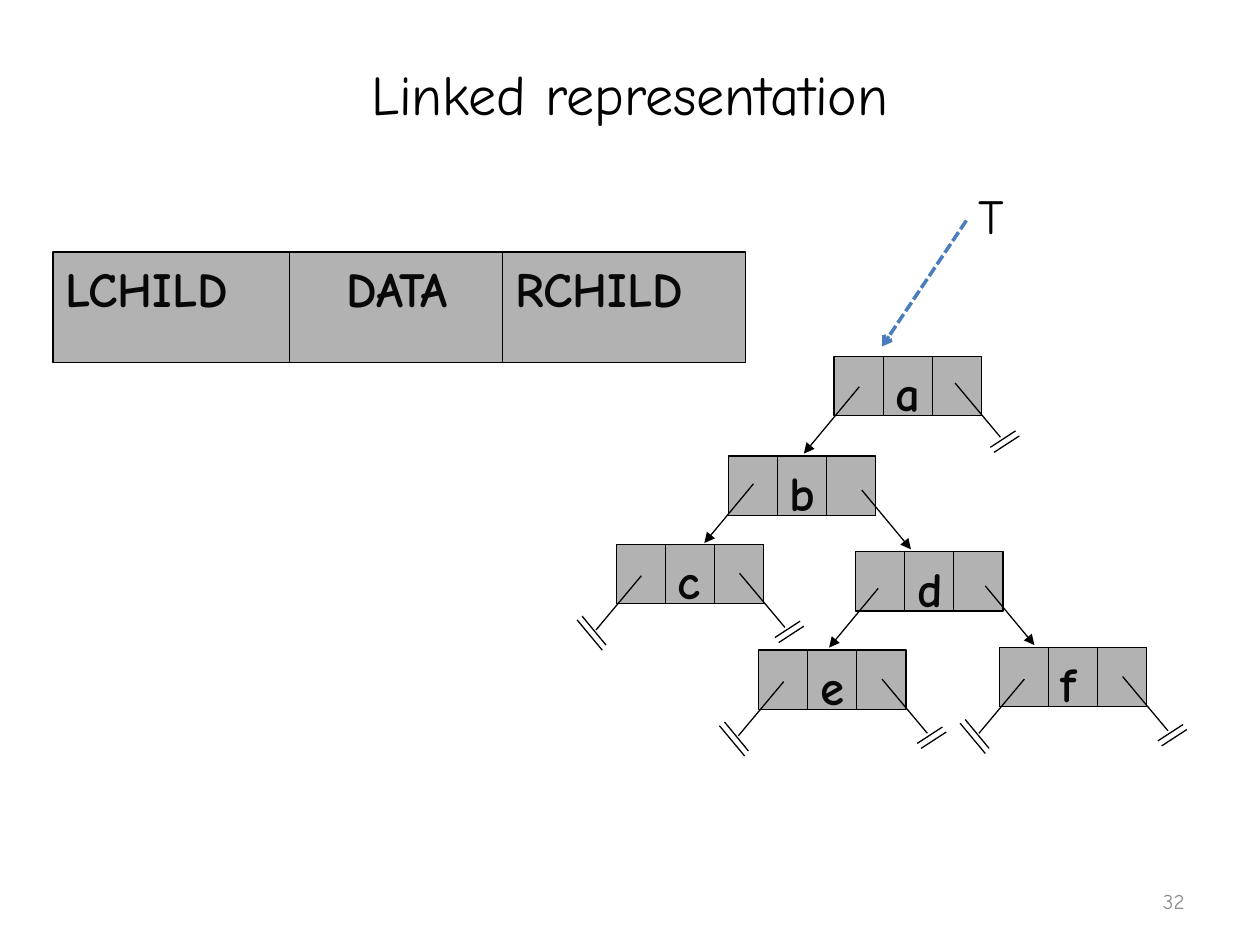
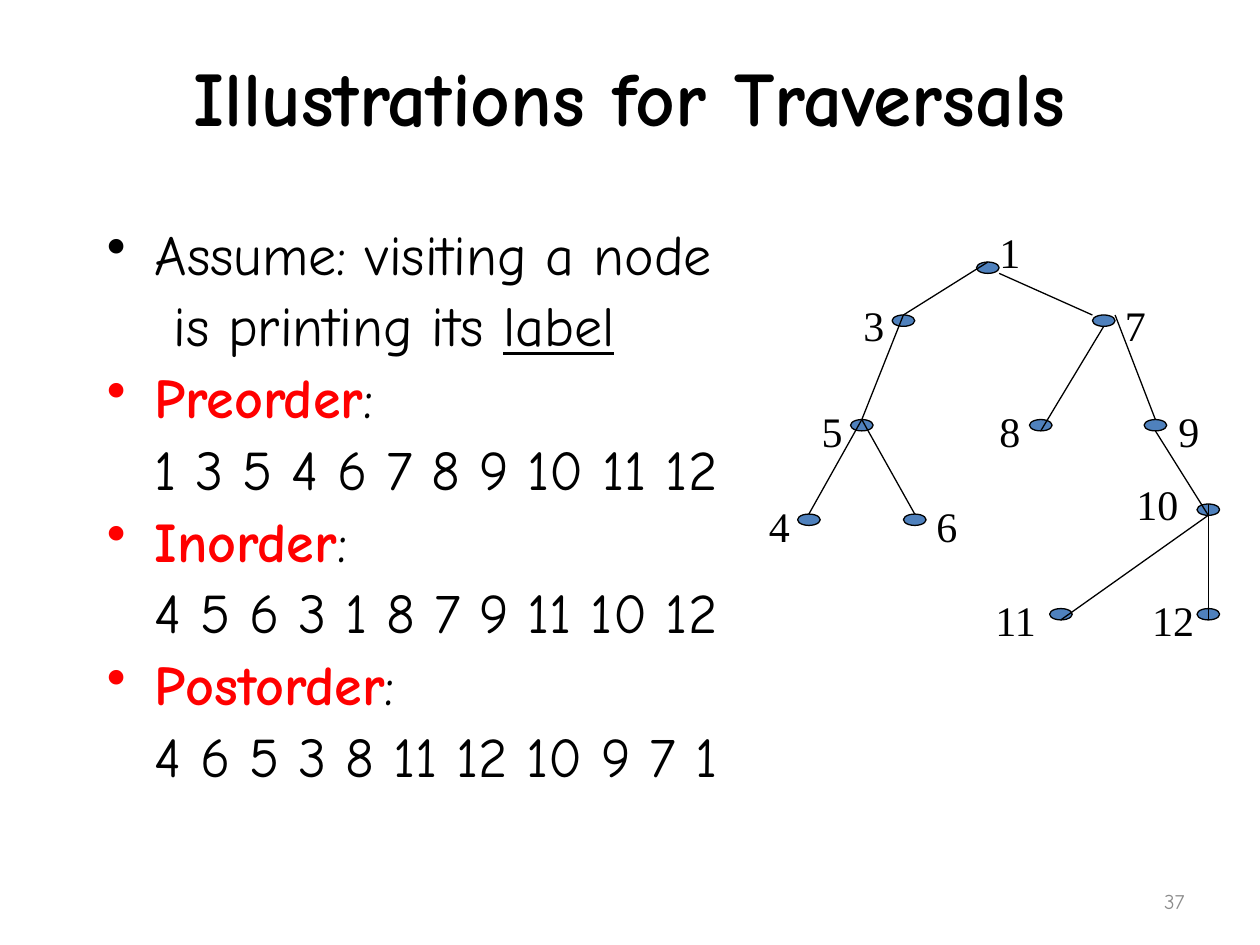
from dataclasses import dataclass

from lxml import etree
from pptx import Presentation
from pptx.dml.color import RGBColor
from pptx.enum.dml import MSO_LINE
from pptx.enum.shapes import MSO_CONNECTOR, MSO_SHAPE
from pptx.enum.text import MSO_ANCHOR, PP_ALIGN
from pptx.oxml.ns import qn
from pptx.util import Pt

PX = 9144  # one px is a hundredth of an inch
RECTANGLE, OVAL = MSO_SHAPE.RECTANGLE, MSO_SHAPE.OVAL
STRAIGHT = MSO_CONNECTOR.STRAIGHT
LEFT, CENTER, RIGHT = PP_ALIGN.LEFT, PP_ALIGN.CENTER, PP_ALIGN.RIGHT
TOP, MIDDLE = MSO_ANCHOR.TOP, MSO_ANCHOR.MIDDLE
DASHED = MSO_LINE.SQUARE_DOT


@dataclass(frozen=True)
class Theme:
    ink: RGBColor = RGBColor(0, 0, 0)
    cell_ink: RGBColor = RGBColor(0x08, 0x08, 0x08)
    cell: RGBColor = RGBColor(0xB2, 0xB2, 0xB2)
    dot: RGBColor = RGBColor(0x4F, 0x81, 0xBD)
    pointer: RGBColor = RGBColor(0x4B, 0x7E, 0xBC)
    accent: RGBColor = RGBColor(0xFF, 0, 0)
    muted: RGBColor = RGBColor(0x8C, 0x8C, 0x8C)
    font: str = "Comic Neue"
    label_font: str = "Times New Roman"
    title: int = 44
    body: int = 32
    record: int = 28
    label: int = 24
    number: int = 12
    thin: float = 0.75
    thick: float = 2
    space: float = 6.4


THEME = Theme()

# Record cells: three per node
CELL_WIDTH, CELL_HEIGHT = 39, 47
POINTER_LEFT, POINTER_RIGHT = (-39, 47), (39, 47)
# Null links: a stem and two strokes, measured from the start of the link
NULL_LEFT = [((0, 0), (-36, 43)), ((-47, 32), (-28, 55)), ((-51, 35), (-31, 59))]
NULL_RIGHT = [((0, 0), (36, 43)), ((28, 51), (48, 38)), ((31, 55), (51, 42))]

# letter, place, start and step of the left link, start and step of the right (None is null)
RECORD_NODES = [
    ("a", (204, 0), (20, 24), (-44, 53), (96, 21), None),
    ("b", (120, 79), (20, 22), POINTER_LEFT, (106, 27), POINTER_RIGHT),
    ("c", (31, 149), (20, 25), None, (98, 23), None),
    ("d", (221, 155), (18, 29), POINTER_LEFT, (103, 27), POINTER_RIGHT),
    ("e", (144, 233), (20, 25), None, (98, 23), None),
    ("f", (335, 231), (20, 25), None, (98, 23), None),
]

# Traversal tree: place of each dot, then offset and width of its label
DOT_WIDTH, DOT_HEIGHT, LABEL_HEIGHT = 18, 9, 50
TREE_NODES = {
    "1": ((175, 33), (8, -33), 37),
    "3": ((108, 75), (-33, -17), 37),
    "7": ((267, 75), (16, -17), 33),
    "5": ((75, 158), (-33, -16), 37),
    "8": ((217, 158), (-34, -16), 37),
    "9": ((308, 158), (17, -16), 37),
    "4": ((33, 233), (-33, -16), 37),
    "6": ((117, 233), (16, -16), 37),
    "10": ((350, 225), (-58, -25), 53),
    "11": ((233, 308), (-58, -16), 62),
    "12": ((350, 308), (-50, -16), 62),
}
# Points on a dot, as shares of its width and height
NORTH, SOUTH = (0.5, 0), (0.5, 1)
NORTH_WEST, NORTH_EAST, SOUTH_EAST = (0, 0), (1, 0), (1, 1)
TREE_EDGES = [
    ("1", NORTH, "3", NORTH), ("1", SOUTH_EAST, "7", NORTH_WEST),
    ("3", NORTH, "5", NORTH), ("7", SOUTH, "8", SOUTH),
    ("7", NORTH_EAST, "9", NORTH), ("5", NORTH, "4", NORTH),
    ("5", NORTH, "6", NORTH), ("9", SOUTH, "10", SOUTH),
    ("10", SOUTH, "11", SOUTH), ("10", NORTH, "12", SOUTH),
]

TRAVERSALS = [
    ("Preorder", "1 3 5 4 6 7 8 9 10 11 12"),
    ("Inorder", "4 5 6 3 1 8 7 9 11 10 12"),
    ("Postorder", "4 6 5 3 8 11 12 10 9 7 1"),
]


def emu(*lengths):
    return [round(length * PX) for length in lengths]


def shift(point, step):
    return point[0] + step[0], point[1] + step[1]


# Shared parts
def style_paragraph(paragraph, size, color=THEME.ink, font=THEME.font, bold=False, align=LEFT):
    paragraph.alignment = align
    paragraph.font.name = font
    paragraph.font.size = Pt(size)
    paragraph.font.bold = bold
    paragraph.font.color.rgb = color


def add_text(slide, box, text, size, anchor=TOP, wrap=True, **style):
    frame = slide.shapes.add_textbox(*emu(*box)).text_frame
    frame.word_wrap = wrap
    frame.vertical_anchor = anchor
    paragraph = frame.paragraphs[0]
    paragraph.text = text
    style_paragraph(paragraph, size, **style)
    return paragraph


def add_outlined(slide, preset, box, fill):
    shape = slide.shapes.add_shape(preset, *emu(*box))
    shape.shadow.inherit = False
    shape.fill.solid()
    shape.fill.fore_color.rgb = fill
    shape.line.color.rgb = THEME.ink
    shape.line.width = Pt(THEME.thin)
    return shape


def add_cell(slide, box, text="", align=LEFT):
    shape = add_outlined(slide, RECTANGLE, box, THEME.cell)
    if text:
        frame = shape.text_frame
        frame.word_wrap = True
        frame.vertical_anchor = TOP
        paragraph = frame.paragraphs[0]
        paragraph.text = text
        style_paragraph(paragraph, THEME.record, THEME.cell_ink, bold=True, align=align)


def add_line(slide, start, end, color=THEME.ink, width=THEME.thin, arrow=None, dash=None):
    connector = slide.shapes.add_connector(STRAIGHT, *emu(*start, *end))
    connector.line.color.rgb = color
    connector.line.width = Pt(width)
    if dash:
        connector.line.dash_style = dash
    if arrow:
        etree.SubElement(connector.line._get_or_add_ln(), qn("a:tailEnd"), type=arrow)
    etree.SubElement(connector._element.spPr, qn("a:effectLst"))


def add_slide_number(slide, number):
    add_text(slide, (717, 695, 233, 40), number, THEME.number, MIDDLE,
             color=THEME.muted, align=RIGHT)


# Linked representation: record layout and linked tree
def add_record_layout(slide, left, top):
    height = 88
    for offset, width, name, align in [
        (0, 234, "LCHILD", LEFT), (188, 170, "DATA", CENTER), (357, 193, "RCHILD", LEFT),
    ]:
        add_cell(slide, (left + offset, top, width, height), name, align)


def add_link(slide, start, step, null_strokes):
    if step:
        add_line(slide, start, shift(start, step), arrow="triangle")
        return
    for begin, end in null_strokes:
        add_line(slide, shift(start, begin), shift(start, end))


def add_linked_tree(slide, left, top):
    for letter, place, left_start, left_step, right_start, right_step in RECORD_NODES:
        corner = shift((left, top), place)
        for index, text in enumerate(("", letter, "")):
            cell_left = corner[0] + index * CELL_WIDTH
            add_cell(slide, (cell_left, corner[1], CELL_WIDTH, CELL_HEIGHT), text)
        add_link(slide, shift(corner, left_start), left_step, NULL_LEFT)
        add_link(slide, shift(corner, right_start), right_step, NULL_RIGHT)


def add_root_pointer(slide, left, top):
    add_line(slide, (left, top + 33), (left - 67, top + 133),
             THEME.pointer, THEME.thick, "arrow", DASHED)
    add_text(slide, (left, top, 100, 57), "T", THEME.record)


def build_linked_slide(slide):
    title = add_text(slide, (50, 42, 900, 583), "Linked representation", THEME.body, align=CENTER)
    title.space_before = Pt(THEME.space)
    add_record_layout(slide, 42, 200)
    add_linked_tree(slide, 458, 283)
    add_root_pointer(slide, 767, 142)
    add_slide_number(slide, "32")


# Traversals: list of orders and tree of dots
def add_list_paragraph(frame, runs, bullet):
    first = frame.paragraphs[0]
    paragraph = frame.add_paragraph() if first.runs else first
    style_paragraph(paragraph, THEME.body)
    paragraph.line_spacing = 0.9
    paragraph.space_before = Pt(THEME.space)
    margin, = emu(38)
    properties = paragraph._p.get_or_add_pPr()
    properties.set("marL", str(margin))
    properties.set("indent", str(-margin if bullet else 0))
    if bullet:
        mark = etree.Element(qn("a:buChar"), char="•")
        properties.find(qn("a:defRPr")).addprevious(mark)
    for text in runs:
        paragraph.add_run().text = text
    return paragraph


def add_traversal_list(slide, box):
    frame = slide.shapes.add_textbox(*emu(*box)).text_frame
    frame.word_wrap = True
    add_list_paragraph(frame, ["Assume: visiting a node"], bullet=True)
    assumption = add_list_paragraph(frame, [" is printing its ", "label"], bullet=False)
    assumption.runs[1].font.underline = True
    for name, order in TRAVERSALS:
        heading = add_list_paragraph(frame, [name, ":"], bullet=True).runs[0]
        heading.font.bold = True
        heading.font.color.rgb = THEME.accent
        add_list_paragraph(frame, [order], bullet=False)


def add_traversal_tree(slide, left, top):
    corners = {}
    for label, (place, offset, width) in TREE_NODES.items():
        corners[label] = shift((left, top), place)
        add_outlined(slide, OVAL, (*corners[label], DOT_WIDTH, DOT_HEIGHT), THEME.dot)
        add_text(slide, (*shift(corners[label], offset), width, LABEL_HEIGHT), label,
                 THEME.label, wrap=False, font=THEME.label_font, align=CENTER)

    def point_on(label, share):
        return shift(corners[label], (share[0] * DOT_WIDTH, share[1] * DOT_HEIGHT))

    for parent, parent_share, child, child_share in TREE_EDGES:
        add_line(slide, point_on(parent, parent_share), point_on(child, child_share))


def build_traversal_slide(slide):
    add_text(slide, (50, 30, 900, 92), "Illustrations for Traversals", THEME.title, MIDDLE,
             bold=True, align=CENTER)
    add_traversal_list(slide, (75, 175, 850, 492))
    add_traversal_tree(slide, 600, 175)
    add_slide_number(slide, "37")


def main():
    presentation = Presentation()
    presentation.slide_width, presentation.slide_height = emu(1000, 750)
    blank = presentation.slide_layouts[6]
    for build in (build_linked_slide, build_traversal_slide):
        build(presentation.slides.add_slide(blank))
    presentation.save("out.pptx")


if __name__ == "__main__":
    main()
